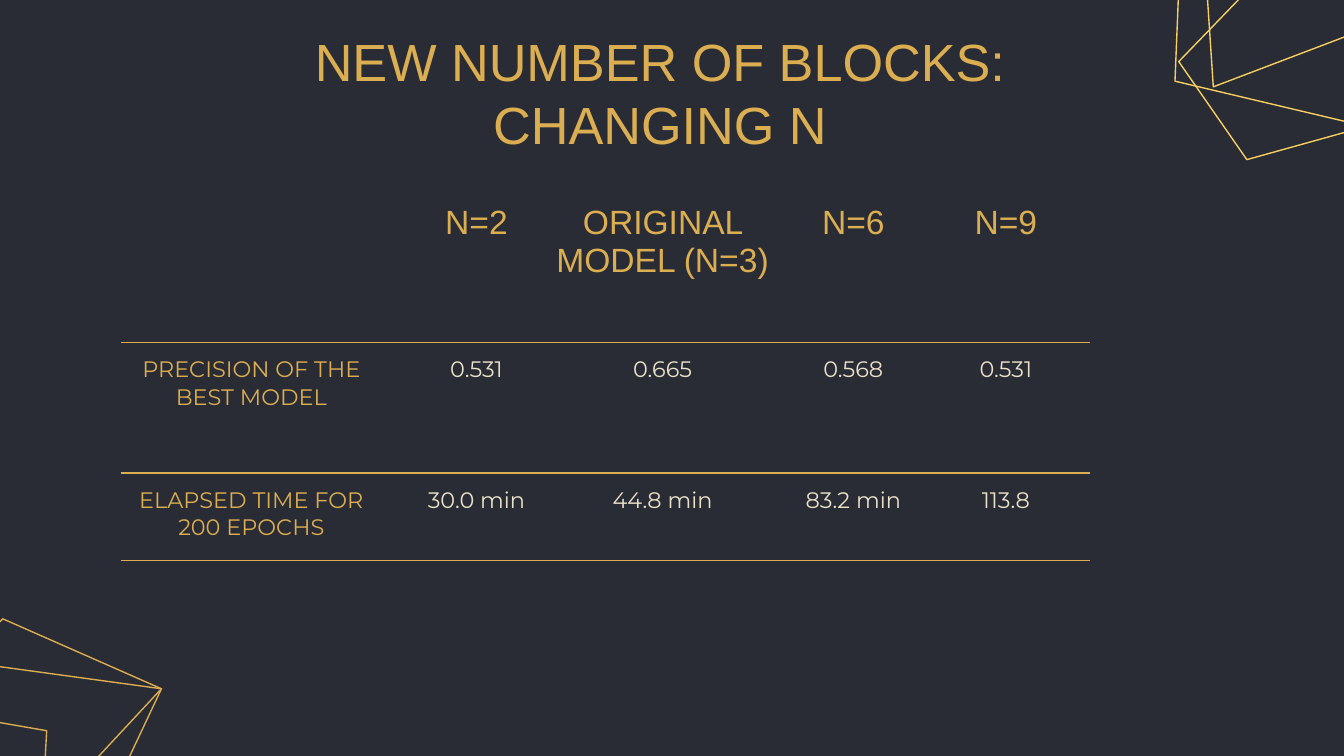
from lxml.etree import SubElement
from pptx import Presentation
from pptx.dml.color import RGBColor
from pptx.enum.text import MSO_ANCHOR, PP_ALIGN
from pptx.oxml import parse_xml
from pptx.oxml.ns import nsdecls, qn
from pptx.util import Pt

BACKGROUND = RGBColor(0x29, 0x2C, 0x35)
GOLD = RGBColor(0xDC, 0xAE, 0x52)
BRIGHT_GOLD = RGBColor(0xF8, 0xD0, 0x62)
CREAM = RGBColor(0xE9, 0xE2, 0xC9)
NO_STYLE = "{2D5ABB26-0587-4C30-8999-92F81FD0307C}"
INSET = 7.2

# Content
TITLE = "NEW NUMBER OF BLOCKS: CHANGING N"
ROWS = [
    ["", "", "N=2", "ORIGINAL MODEL (N=3)", "N=6", "N=9"],
    ["PRECISION OF THE BEST MODEL", "", "0.531", "0.665", "0.568", "0.531"],
    ["ELAPSED TIME FOR 200 EPOCHS", "", "30.0 min", "44.8 min", "83.2 min", "113.8"],
    [""] * 6,
]
COL_WIDTHS = [139.7, 16.6, 68.4, 131, 73.4, 90]
ROW_HEIGHTS = [81.4, 69.8, 46.8, 23]
MERGES = [((0, 0), (0, 1)), ((3, 0), (3, 1)), ((3, 2), (3, 3))]

TITLE_FONT = {"name": "Arial", "size": Pt(28)}
HEADER_FONT = {"name": "Arial", "size": Pt(18)}
BODY_FONT = {"name": "Montserrat", "size": Pt(12)}

# Corner outlines: colour and polygons, running past the slide edges
CORNERS = [
    (BRIGHT_GOLD, [
        [(650, 46.5), (639, -120), (843.5, -91.5), (806.5, -13)],
        [(629.5, 43.5), (633, -43), (754, -86.5), (821, -76.5), (818.5, -34.5), (750, 72)],
        [(668, 85.5), (631.5, 33), (756.5, -96.5), (856, -55.5), (752.5, 62)],
    ]),
    (GOLD, [
        [(-143, 492), (-138, 416.5), (-32.5, 381.5), (25, 391.5), (23, 428.5), (-39.5, 519)],
        [(-79, 487.5), (-109.5, 441.5), (1.5, 331.5), (86.5, 369), (-6, 468.5)],
        [(-79, 487.5), (-89, 345), (86.5, 369), (54.5, 437)],
    ]),
]


def write(tf, text, font, color):
    p = tf.paragraphs[0]
    p.alignment = PP_ALIGN.CENTER
    r = p.add_run()
    r.text = text
    for key, value in font.items():
        setattr(r.font, key, value)
    r.font.color.rgb = color


def set_margins(target, inset):
    for side in ("left", "right", "top", "bottom"):
        setattr(target, f"margin_{side}", Pt(inset))


def add_bottom_border(cell):
    ln = parse_xml(f'<a:lnB {nsdecls("a")} w="{Pt(0.75)}"/>')
    fill = SubElement(ln, qn("a:solidFill"))
    SubElement(fill, qn("a:srgbClr"), val=str(GOLD))
    cell._tc.get_or_add_tcPr().insert(0, ln)


prs = Presentation()
prs.slide_width, prs.slide_height = Pt(720), Pt(405)
s = prs.slides.add_slide(prs.slide_layouts[6])
s.background.fill.solid()
s.background.fill.fore_color.rgb = BACKGROUND

# Corner outlines
for color, polygons in CORNERS:
    for polygon in polygons:
        points = [(Pt(x), Pt(y)) for x, y in polygon]
        builder = s.shapes.build_freeform(*points[0])
        builder.add_line_segments(points[1:], close=True)
        sp = builder.convert_to_shape()
        sp.shadow.inherit = False
        sp.fill.background()
        sp.line.color.rgb = color
        sp.line.width = Pt(0.75)

# Title
tf = s.shapes.add_textbox(Pt(123.8), Pt(32.4), Pt(459.4), Pt(33.8)).text_frame
tf.word_wrap = True
tf.vertical_anchor = MSO_ANCHOR.MIDDLE
set_margins(tf, INSET)
write(tf, TITLE, TITLE_FONT, GOLD)

# Results table
frame = s.shapes.add_table(len(ROWS), len(COL_WIDTHS), Pt(64.8), Pt(102.2),
                           Pt(sum(COL_WIDTHS)), Pt(sum(ROW_HEIGHTS)))
table = frame.table
table.first_row = table.horz_banding = False
table._tbl.tblPr.find(qn("a:tableStyleId")).text = NO_STYLE
for column, width in zip(table.columns, COL_WIDTHS):
    column.width = Pt(width)
for row, height in zip(table.rows, ROW_HEIGHTS):
    row.height = Pt(height)

for i, texts in enumerate(ROWS):
    for j, text in enumerate(texts):
        cell = table.cell(i, j)
        cell.fill.background()
        set_margins(cell, INSET if text else 0)
        if text:
            font = BODY_FONT if i else HEADER_FONT
            write(cell.text_frame, text, font, CREAM if i and j else GOLD)
        if i < len(ROWS) - 1:
            add_bottom_border(cell)
for first, last in MERGES:
    table.cell(*first).merge(table.cell(*last))

prs.save("out.pptx")
